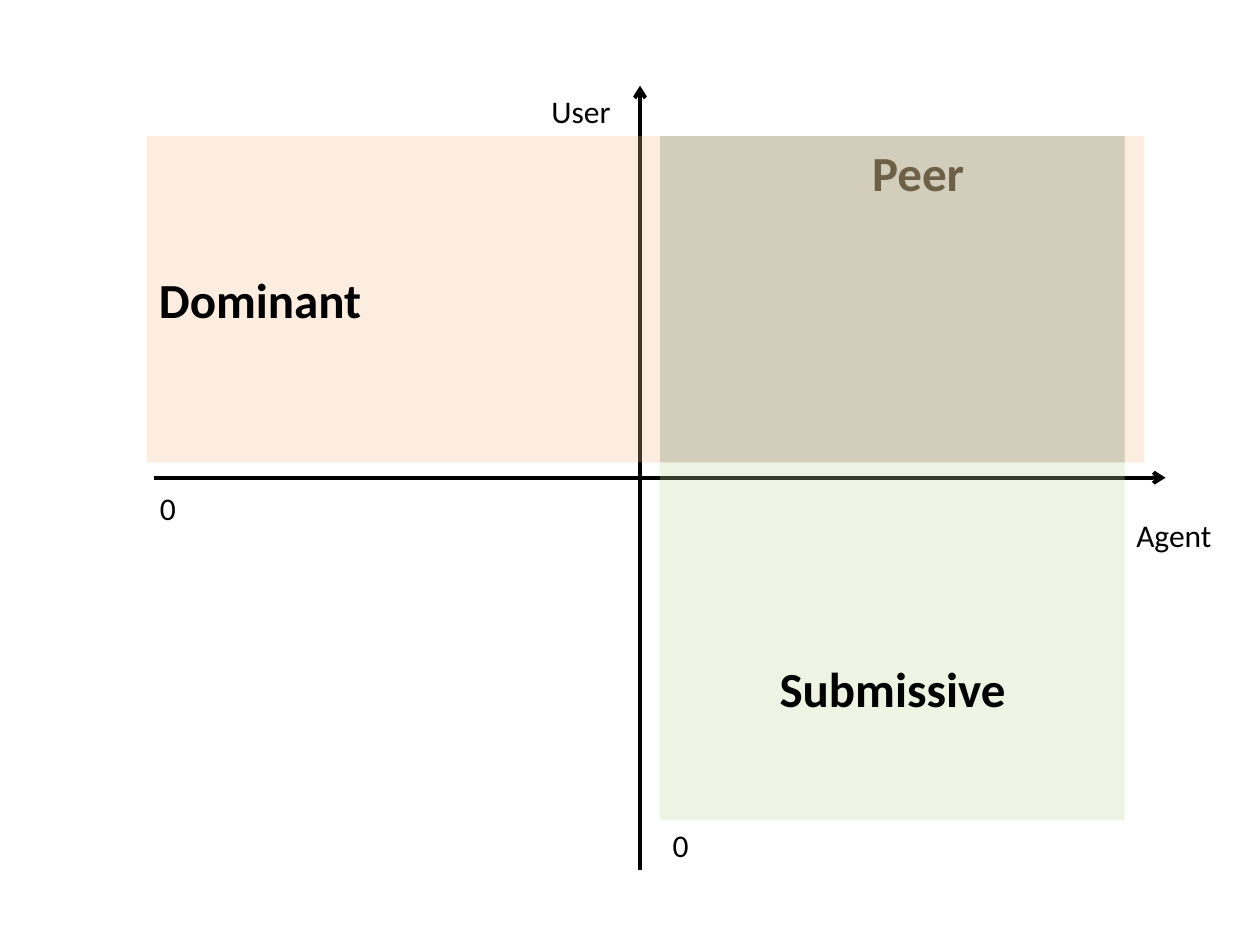
"""Build a slide of agent and user control with three overlapping regions."""
from pptx import Presentation
from pptx.dml.color import RGBColor
from pptx.enum.shapes import MSO_CONNECTOR as Connector, MSO_SHAPE as Shape
from pptx.enum.text import MSO_ANCHOR as Anchor, MSO_AUTO_SIZE as AutoSize, PP_ALIGN as Align
from pptx.oxml.ns import qn
from pptx.util import Pt
from lxml.etree import SubElement


def color(hex_value):
    return RGBColor.from_string(hex_value)


class QuadrantSlide:
    FONT = "Calibri"
    INK = "000000"
    LABEL_SIZE, REGION_SIZE = 18, 28
    OPACITY = 28

    def __init__(self, slide):
        self.slide = slide

    def set_text(self, frame, words, size, bold=False, align=Align.LEFT):
        paragraph = frame.paragraphs[0]
        paragraph.text = words
        paragraph.alignment = align
        font = paragraph.font
        font.name, font.size, font.bold = self.FONT, Pt(size), bold
        font.color.rgb = color(self.INK)

    def axis(self, x1, y1, x2, y2):
        line = self.slide.shapes.add_connector(
            Connector.STRAIGHT, Pt(x1), Pt(y1), Pt(x2), Pt(y2))
        line.line.color.rgb = color(self.INK)
        line.line.width = Pt(2.25)
        outline = line._element.spPr.find(qn("a:ln"))
        SubElement(outline, qn("a:tailEnd"), type="arrow")
        SubElement(line._element.spPr, qn("a:effectLst"))

    def label(self, words, left, top, width):
        box = self.slide.shapes.add_textbox(Pt(left), Pt(top), Pt(width), Pt(29))
        box.text_frame.word_wrap = False
        box.text_frame.auto_size = AutoSize.SHAPE_TO_FIT_TEXT
        self.set_text(box.text_frame, words, self.LABEL_SIZE)

    def heading(self, words, left, top, width, height):
        box = self.slide.shapes.add_textbox(Pt(left), Pt(top), Pt(width), Pt(height))
        box.text_frame.word_wrap = True
        box.text_frame.vertical_anchor = Anchor.MIDDLE
        self.set_text(box.text_frame, words, self.REGION_SIZE, True, Align.RIGHT)

    def region(self, fill, left, top, width, height, words="",
               align=Align.LEFT, anchor=Anchor.MIDDLE, bottom=3.6):
        area = self.slide.shapes.add_shape(
            Shape.RECTANGLE, Pt(left), Pt(top), Pt(width), Pt(height))
        area.shadow.inherit = False
        area.fill.solid()
        area.fill.fore_color.rgb = color(fill)
        tint = area._element.spPr.find(qn("a:solidFill"))[0]
        SubElement(tint, qn("a:alpha"), val=str(self.OPACITY * 1000))
        area.line.fill.background()
        if words:
            frame = area.text_frame
            frame.word_wrap = True
            frame.vertical_anchor = anchor
            frame.margin_bottom = Pt(bottom)
            self.set_text(frame, words, self.REGION_SIZE, True, align)


def main():
    deck = Presentation()
    deck.slide_width, deck.slide_height = Pt(720), Pt(540)
    chart = QuadrantSlide(deck.slides.add_slide(deck.slide_layouts[6]))

    user_x, agent_y = 365.75, 273
    top, upper_height, full_height = 77.75, 186.5, 391
    agent_left, agent_width = 377.25, 265.5

    chart.axis(user_x, 497, user_x, 49)
    chart.axis(88, agent_y, 666, agent_y)
    chart.label("0", agent_left, top + full_height, 23.75)
    chart.label("0", 84.25, 275.75, 23.75)
    chart.label("Agent", 642.25, 291.5, 57.6)
    chart.label("User", 308, 49, 57.6)

    chart.region("376092", agent_left, top, agent_width, upper_height)
    chart.heading("Peer", 461.5, 77, 96.5, 42.5)
    chart.region("C3D69B", agent_left, top, agent_width, full_height,
                 "Submissive", Align.CENTER, Anchor.BOTTOM, 59)
    chart.region("FAC090", 83.75, top, 570.25, upper_height, "Dominant")

    deck.save("out.pptx")


if __name__ == "__main__":
    main()
